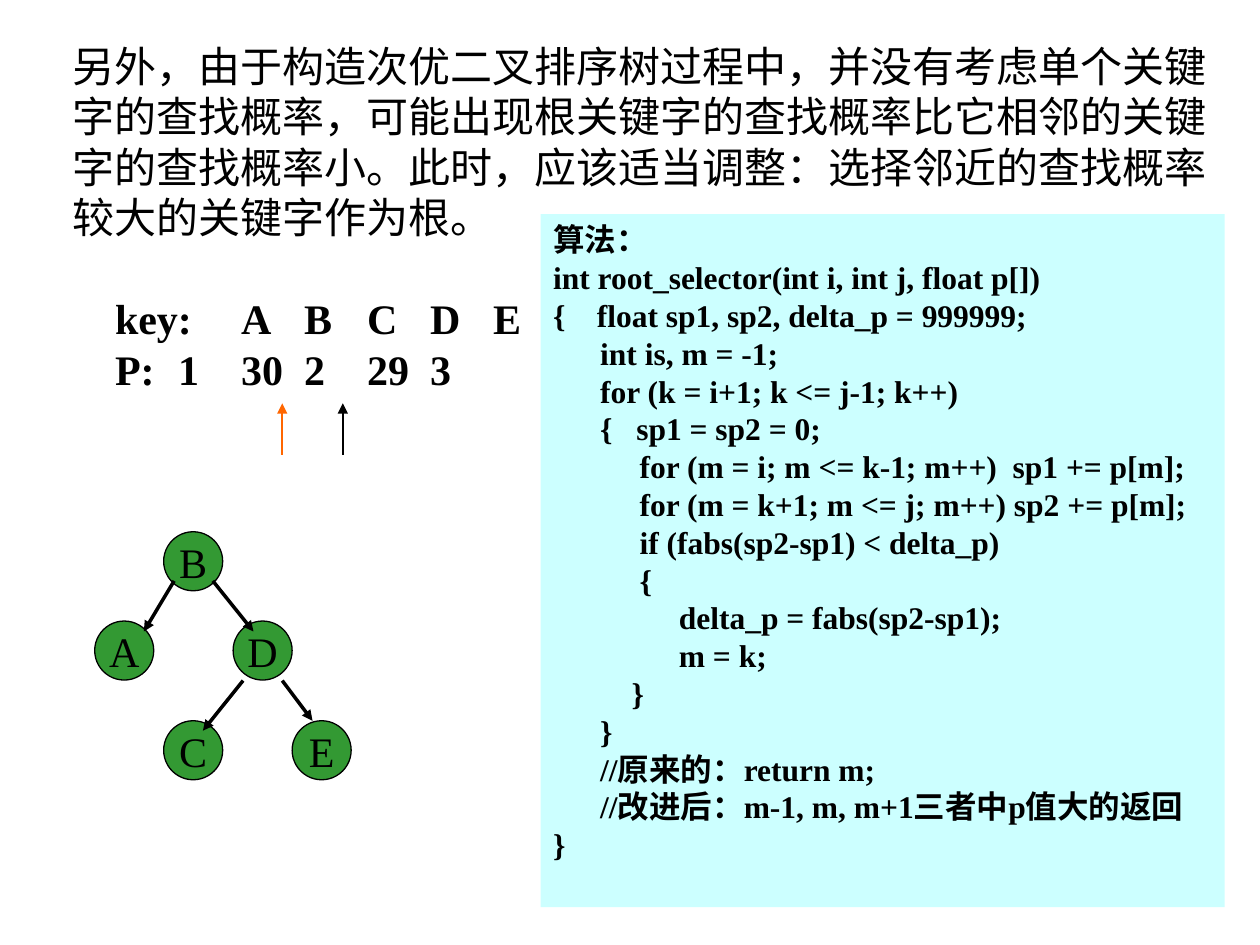
"""Build a slide on choosing the root of a nearly optimal binary search tree."""
import pptx
import pptx.dml.color
import pptx.enum.shapes
import pptx.enum.text
import pptx.oxml
import pptx.oxml.ns
import pptx.util
from lxml import etree

Cm, Pt = pptx.util.Cm, pptx.util.Pt
qn = pptx.oxml.ns.qn

INTRO = ("另外，由于构造次优二叉排序树过程中，并没有考虑单个关键字的查找概率，"
         "可能出现根关键字的查找概率比它相邻的关键字的查找概率小。"
         "此时，应该适当调整：选择邻近的查找概率较大的关键字作为根。")
KEY_ROWS = [
    (["key:", "A", "B", "C", "D", "E"], [2.79, 3.76, 4.96, 5.99, 7.24]),
    (["P:", "1", "30", "2", "29", "3"], [2.92, 3.76, 5.24, 6.09, 7.36]),
]
CODE = """算法：
int root_selector(int i, int j, float p[])
{    float sp1, sp2, delta_p = 999999;
      int is, m = -1;
      for (k = i+1; k <= j-1; k++)
      {   sp1 = sp2 = 0;
           for (m = i; m <= k-1; m++)  sp1 += p[m];
           for (m = k+1; m <= j; m++) sp2 += p[m];
           if (fabs(sp2-sp1) < delta_p)
           {
                delta_p = fabs(sp2-sp1);
                m = k;
          }
      }
      //原来的：return m;
      //改进后：m-1, m, m+1三者中p值大的返回
}""".split("\n")
NODES = {"B": (3.3, 10.72), "A": (1.91, 12.52), "D": (4.7, 12.52),
         "C": (3.3, 14.53), "E": (5.89, 14.53)}
BRANCHES = [(3.51, 11.71, 2.9, 12.73), (4.29, 11.71, 5.11, 12.73),
            (4.9, 13.72, 4.09, 14.73), (5.69, 13.72, 6.3, 14.53)]
POINTERS = [(5.69, "accent"), (6.91, "ink")]
POINTER_BOTTOM, POINTER_TOP = 9.17, 8.13
NODE_SIZE = 1.19
KEY_INDENT = 0.85
THEME = {"font": "Times New Roman", "body": 24, "code": 18, "ink": "000000",
         "accent": "FF6600", "node": "339933", "panel": "CCFFFF"}


def color(name):
    return pptx.dml.color.RGBColor.from_string(THEME[name])


def style(paragraph, size, bold=False):
    font = paragraph.font
    font.name, font.size, font.bold = THEME["font"], Pt(THEME[size]), bold
    font.color.rgb = color("ink")


def add_arrow(shapes, ends, line_color, width):
    arrow = shapes.add_connector(pptx.enum.shapes.MSO_CONNECTOR.STRAIGHT,
                                 *(Cm(value) for value in ends))
    arrow.line.color.rgb = color(line_color)
    arrow.line.width = Pt(width)
    line = arrow.line._get_or_add_ln()
    etree.SubElement(line, qn("a:tailEnd"), type="triangle")
    etree.SubElement(arrow._element.spPr, qn("a:effectLst"))


def add_filled(shapes, kind, box, fill):
    shape = shapes.add_shape(kind, *(Cm(value) for value in box))
    shape.shadow.inherit = False
    shape.fill.solid()
    shape.fill.fore_color.rgb = color(fill)
    return shape


def add_intro(slide):
    box = slide.shapes.add_textbox(Cm(1.22), Cm(0.69), Cm(23.55), Cm(7.37))
    frame = box.text_frame
    frame.word_wrap = True
    frame.paragraphs[0].text = INTRO
    style(frame.paragraphs[0], "body")
    for index, (cells, stops) in enumerate(KEY_ROWS):
        paragraph = frame.add_paragraph()
        paragraph.text = "\t".join(cells)
        paragraph.space_before = Pt(0 if index else 29)
        properties = paragraph._p.get_or_add_pPr()
        properties.set("marL", str(Cm(KEY_INDENT)))
        properties.set("indent", "0")
        tabs = etree.SubElement(properties, qn("a:tabLst"))
        for stop in stops:
            etree.SubElement(tabs, qn("a:tab"), pos=str(Cm(stop)), algn="l")
        style(paragraph, "body", bold=True)


def add_tree(slide):
    tree = slide.shapes.add_group_shape()
    for label, corner in NODES.items():
        node = add_filled(tree.shapes, pptx.enum.shapes.MSO_SHAPE.OVAL,
                          (*corner, NODE_SIZE, NODE_SIZE), "node")
        node.line.color.rgb = color("ink")
        node.line.width = Pt(0.75)
        frame = node.text_frame
        frame.word_wrap = False
        frame.vertical_anchor = pptx.enum.text.MSO_ANCHOR.MIDDLE
        paragraph = frame.paragraphs[0]
        paragraph.text = label
        paragraph.alignment = pptx.enum.text.PP_ALIGN.CENTER
        style(paragraph, "body")
    for ends in BRANCHES:
        add_arrow(tree.shapes, ends, "ink", 2)


def add_code(slide):
    panel = add_filled(slide.shapes, pptx.enum.shapes.MSO_SHAPE.RECTANGLE,
                       (10.9, 4.32, 13.79, 13.97), "panel")
    panel.line.fill.background()
    frame = panel.text_frame
    frame.word_wrap = True
    frame.vertical_anchor = pptx.enum.text.MSO_ANCHOR.TOP
    for index, line in enumerate(CODE):
        paragraph = frame.add_paragraph() if index else frame.paragraphs[0]
        paragraph.text = line
        paragraph.alignment = pptx.enum.text.PP_ALIGN.LEFT
        style(paragraph, "code", bold=True)


def main():
    presentation = pptx.Presentation()
    presentation.slide_width, presentation.slide_height = Cm(25.4), Cm(19.05)
    slide = presentation.slides.add_slide(presentation.slide_layouts[6])
    add_intro(slide)
    for x, line_color in POINTERS:
        add_arrow(slide.shapes, (x, POINTER_BOTTOM, x, POINTER_TOP), line_color, 1.25)
    add_tree(slide)
    add_code(slide)
    presentation.save("out.pptx")


if __name__ == "__main__":
    main()
